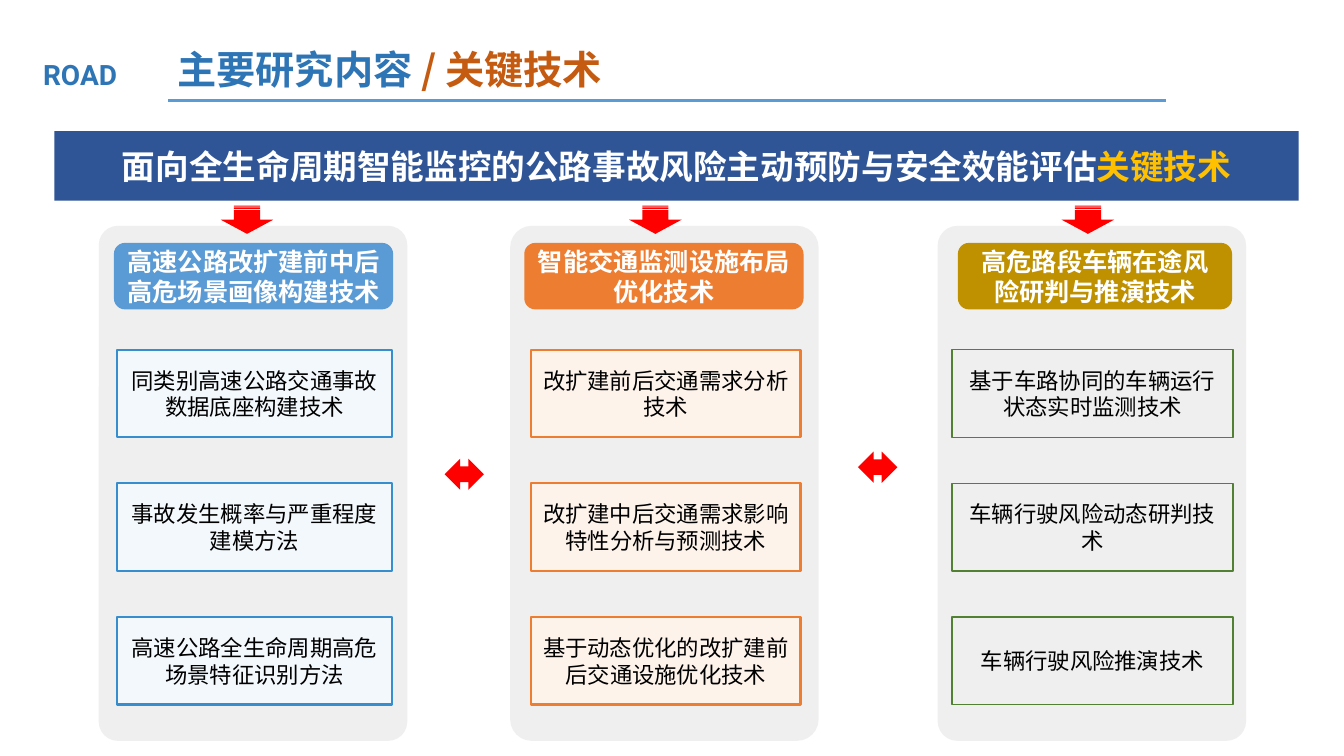
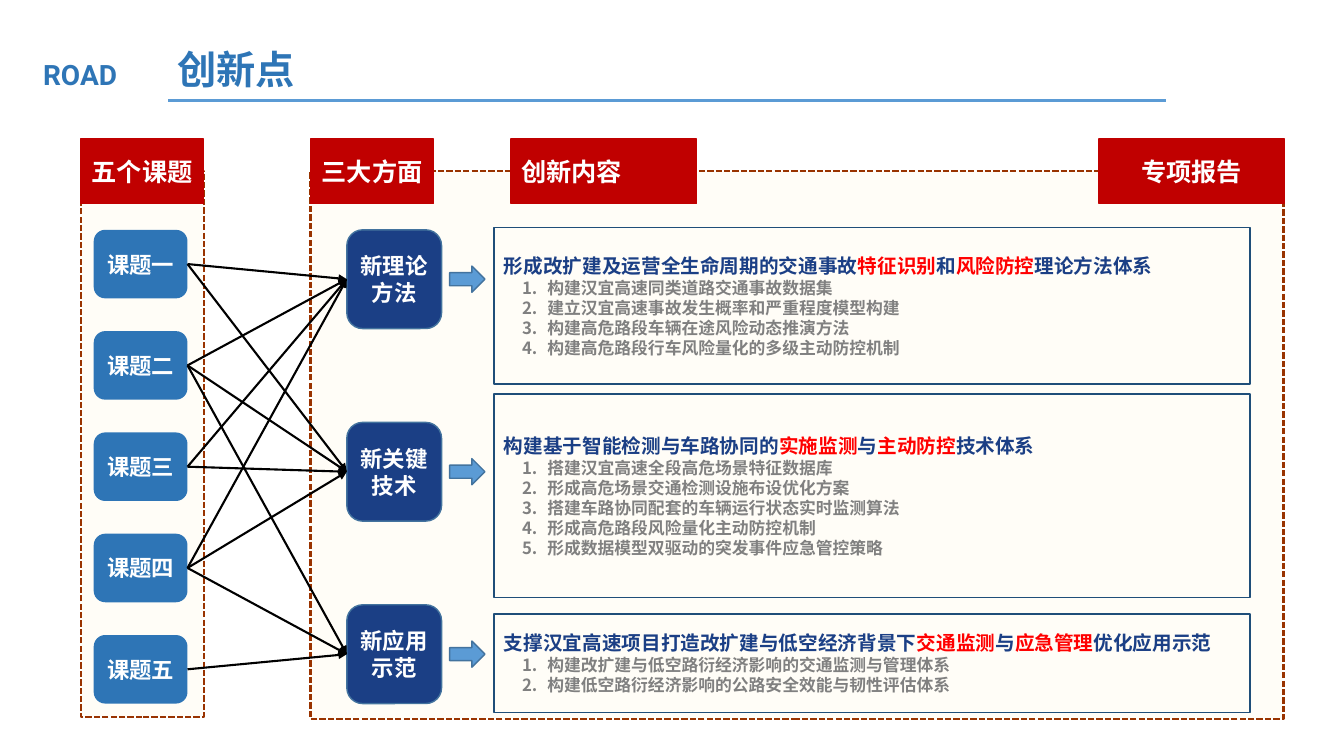
from lxml.etree import SubElement
from pptx import Presentation
from pptx.dml.color import RGBColor
from pptx.enum.dml import MSO_LINE
from pptx.enum.shapes import MSO_CONNECTOR, MSO_SHAPE
from pptx.enum.text import MSO_ANCHOR, PP_ALIGN
from pptx.oxml.ns import qn
from pptx.util import Inches, Pt

CJK = "Noto Sans CJK SC"
BLUE, SKY, NAVY, EDGE = "2E75B6", "5B9BD5", "1B3F85", "43739E"
RED, CRIMSON, WHITE, BLACK, GREY = "FF0000", "C00000", "FFFFFF", "000000", "808080"
RECT, ROUND = MSO_SHAPE.RECTANGLE, MSO_SHAPE.ROUNDED_RECTANGLE
LEFT, CENTER, JUSTIFY = PP_ALIGN.LEFT, PP_ALIGN.CENTER, PP_ALIGN.JUSTIFY
TIGHT = (0.07, 0.04)

BANNER = [("面向全生命周期智能监控的公路事故风险主动预防与安全效能评估", WHITE),
          ("关键技术", "FFC000")]
COLUMNS = [
    dict(left=0.98, arrow=2.31, radius=0.062, head=(1.13, 2.77), box=(1.16, 2.73),
         color=SKY, fill="F3F8FC", line="378ECE", width=1.5,
         title="高速公路改扩建前中后高危场景画像构建技术",
         items=["同类别高速公路交通事故数据底座构建技术",
                "事故发生概率与严重程度建模方法",
                "高速公路全生命周期高危场景特征识别方法"]),
    dict(left=5.06, arrow=6.36, radius=0.07, head=(5.2, 2.77), box=(5.27, 2.67),
         color="ED7D31", fill="FDF3EB", line="ED7D31", width=1.5,
         title="智能交通监测设施布局优化技术",
         items=["改扩建前后交通需求分析技术",
                "改扩建中后交通需求影响特性分析与预测技术",
                "基于动态优化的改扩建前后交通设施优化技术"]),
    dict(left=9.3, arrow=10.65, radius=0.064, head=(9.5, 2.72), box=(9.44, 2.79),
         color="BF9000", fill=None, line="528133", width=1,
         title="高危路段车辆在途风险研判与推演技术",
         items=["基于车路协同的车辆运行状态实时监测技术",
                "车辆行驶风险动态研判技术",
                "车辆行驶风险推演技术"]),
]
SWAPS = [(4.41, 4.55), (8.51, 4.48)]

PANELS = [(0.8, 1.7, 1.22, 5.41), (3.08, 1.7, 9.65, 5.43)]
HEADERS = [("五个课题", 0.8, 1.22, CENTER), ("三大方面", 3.08, 1.22, CENTER),
           ("创新内容", 5.07, 1.84, LEFT), ("专项报告", 10.9, 1.84, CENTER)]
TOPICS = [("课题一", [0, 1]), ("课题二", [0, 1, 2]), ("课题三", [0, 1]),
          ("课题四", [0, 1, 2]), ("课题五", [2])]
ASPECTS = [
    dict(name="新理论方法", top=2.28, box=(2.26, 1.55),
         lead=["形成改扩建及运营全生命周期的交通事故", "特征识别", "和", "风险防控", "理论方法体系"],
         points=["构建汉宜高速同类道路交通事故数据集",
                 "建立汉宜高速事故发生概率和严重程度模型构建",
                 "构建高危路段车辆在途风险动态推演方法",
                 "构建高危路段行车风险量化的多级主动防控机制"]),
    dict(name="新关键技术", top=4.19, box=(3.91, 2.02),
         lead=["构建基于智能检测与车路协同的", "实施监测", "与", "主动防控", "技术体系"],
         points=["搭建汉宜高速全段高危场景特征数据库",
                 "形成高危场景交通检测设施布设优化方案",
                 "搭建车路协同配套的车辆运行状态实时监测算法",
                 "形成高危路段风险量化主动防控机制",
                 "形成数据模型双驱动的突发事件应急管控策略"]),
    dict(name="新应用示范", top=6, box=(6.09, 0.98),
         lead=["支撑汉宜高速项目打造改扩建与低空经济背景下", "交通监测", "与", "应急管理", "优化应用示范"],
         points=["构建改扩建与低空路衍经济影响的交通监测与管理体系",
                 "构建低空路衍经济影响的公路安全效能与韧性评估体系"]),
]


def rgb(code):
    return RGBColor.from_string(code)


def write(shape, text, size=16, color=WHITE, bold=True, font=CJK, align=CENTER,
          inset=None, number=False):
    frame = shape.text_frame
    frame.word_wrap = True
    if inset:
        frame.margin_left = frame.margin_right = Inches(inset[0])
        frame.margin_top = frame.margin_bottom = Inches(inset[1])
    para = frame.paragraphs[0]
    if para.runs:
        para = frame.add_paragraph()
    para.alignment = align
    if number:
        props = para._p.get_or_add_pPr()
        props.set("marL", str(Inches(0.43)))
        props.set("indent", str(Inches(-0.25)))
        SubElement(props, qn("a:buFont"), typeface="+mj-lt")
        SubElement(props, qn("a:buAutoNum"), type="arabicPeriod")
    for words, tint in [(text, color)] if isinstance(text, str) else text:
        run = para.add_run()
        run.text = words
        run.font.size, run.font.bold, run.font.name = Pt(size), bold, font
        run.font.color.rgb = rgb(tint)
        SubElement(run._r.get_or_add_rPr(), qn("a:ea"), typeface=font)


def draw(slide, kind, box, fill=None, line=None, width=1, dash=None, alpha=None, radius=None):
    shape = slide.shapes.add_shape(kind, *map(Inches, box))
    shape.shadow.inherit = False
    if radius:
        shape.adjustments[0] = radius
    if fill:
        shape.fill.solid()
        shape.fill.fore_color.rgb = rgb(fill)
        if alpha:
            tint = shape.element.spPr.find(".//" + qn("a:srgbClr"))
            SubElement(tint, qn("a:alpha"), val=str(alpha * 1000))
    else:
        shape.fill.background()
    if line:
        shape.line.color.rgb = rgb(line)
        shape.line.width = Pt(width)
        if dash:
            shape.line.dash_style = dash
    else:
        shape.line.fill.background()
    shape.text_frame.vertical_anchor = MSO_ANCHOR.MIDDLE
    return shape


def link(slide, start, end, color, width, arrow=False):
    wire = slide.shapes.add_connector(MSO_CONNECTOR.STRAIGHT, *map(Inches, start + end))
    wire.line.color.rgb = rgb(color)
    wire.line.width = Pt(width)
    props = wire.element.spPr
    if arrow:
        SubElement(props.find(qn("a:ln")), qn("a:tailEnd"), type="triangle")
    SubElement(props, qn("a:effectLst"))
    return wire


def theme(layout, slide):
    for holder in list(layout.placeholders)[1:]:
        holder.element.getparent().remove(holder.element)
    title = layout.placeholders[0]
    title.left, title.top, title.width, title.height = map(Inches, (1.66, 0.37, 10.01, 0.63))
    rule = link(slide, (1.67, 1), (11.56, 1), SKY, 2)
    mark = slide.shapes.add_textbox(*map(Inches, (0.15, 0.52, 1.29, 0.44)))
    write(mark, "ROAD", size=20, color=BLUE, font="Roboto")
    for part in (rule, mark):
        layout.shapes.element.append(part.element)


def methods(slide):
    write(slide.shapes.title, [("主要研究内容 ", BLUE), ("/ 关键技术", "C55A11")],
          size=28, align=LEFT)
    write(draw(slide, RECT, (0.54, 1.3, 12.34, 0.69), "2F5597"), BANNER, size=24)
    for col in COLUMNS:
        draw(slide, ROUND, (col["left"], 2.24, 3.06, 5.11), "999999",
             alpha=15, radius=col["radius"])
        left, wide = col["head"]
        write(draw(slide, ROUND, (left, 2.41, wide, 0.66), col["color"]), col["title"], size=18)
        left, wide = col["box"]
        for i, item in enumerate(col["items"]):
            card = draw(slide, RECT, (left, 3.47 + 1.325 * i, wide, 0.87),
                        col["fill"], col["line"], col["width"])
            write(card, item, color=BLACK, bold=False)
        down = draw(slide, MSO_SHAPE.STRIPED_RIGHT_ARROW, (col["arrow"], 1.92, 0.28, 0.52), RED)
        down.rotation = 90
    for left, top in SWAPS:
        draw(slide, MSO_SHAPE.LEFT_RIGHT_ARROW, (left, top, 0.39, 0.31), RED)


def novelty(slide):
    write(slide.shapes.title, "创新点", size=28, color=BLUE, align=LEFT)
    for box in PANELS:
        draw(slide, RECT, box, "FFFDF7", "993300", 1.5, MSO_LINE.SQUARE_DOT)
    for text, left, wide, align in HEADERS:
        head = draw(slide, RECT, (left, 1.38, wide, 0.64), CRIMSON, CRIMSON)
        write(head, text, size=18, align=align)
    nodes = []
    for item in ASPECTS:
        node = draw(slide, ROUND, (3.44, item["top"], 0.94, 0.98), NAVY, EDGE)
        write(node, item["name"], inset=TIGHT)
        nodes.append(node)
        draw(slide, MSO_SHAPE.RIGHT_ARROW, (4.46, item["top"] + 0.36, 0.35, 0.26), SKY, EDGE)
        top, high = item["box"]
        card = draw(slide, RECT, (4.9, top, 7.5, high), None, "1F4E79")
        lead = [(words, RED if i % 2 else NAVY) for i, words in enumerate(item["lead"])]
        write(card, lead, size=14, align=JUSTIFY)
        for point in item["points"]:
            write(card, point, size=12, color=GREY, align=JUSTIFY, number=True)
    for i, (name, goals) in enumerate(TOPICS):
        topic = draw(slide, ROUND, (0.93, 2.28 + 1.005 * i, 0.93, 0.68), BLUE)
        write(topic, name, inset=TIGHT)
        for goal in goals:
            wire = link(slide, (0, 0), (1, 1), BLACK, 1.5, arrow=True)
            wire.begin_connect(topic, 3)
            wire.end_connect(nodes[goal], 1)


def main():
    deck = Presentation()
    deck.slide_width, deck.slide_height = Inches(13.33), Inches(7.5)
    layout = deck.slide_layouts[5]
    first, second = [deck.slides.add_slide(layout) for _ in range(2)]
    theme(layout, first)
    methods(first)
    novelty(second)
    deck.save("out.pptx")


if __name__ == "__main__":
    main()
